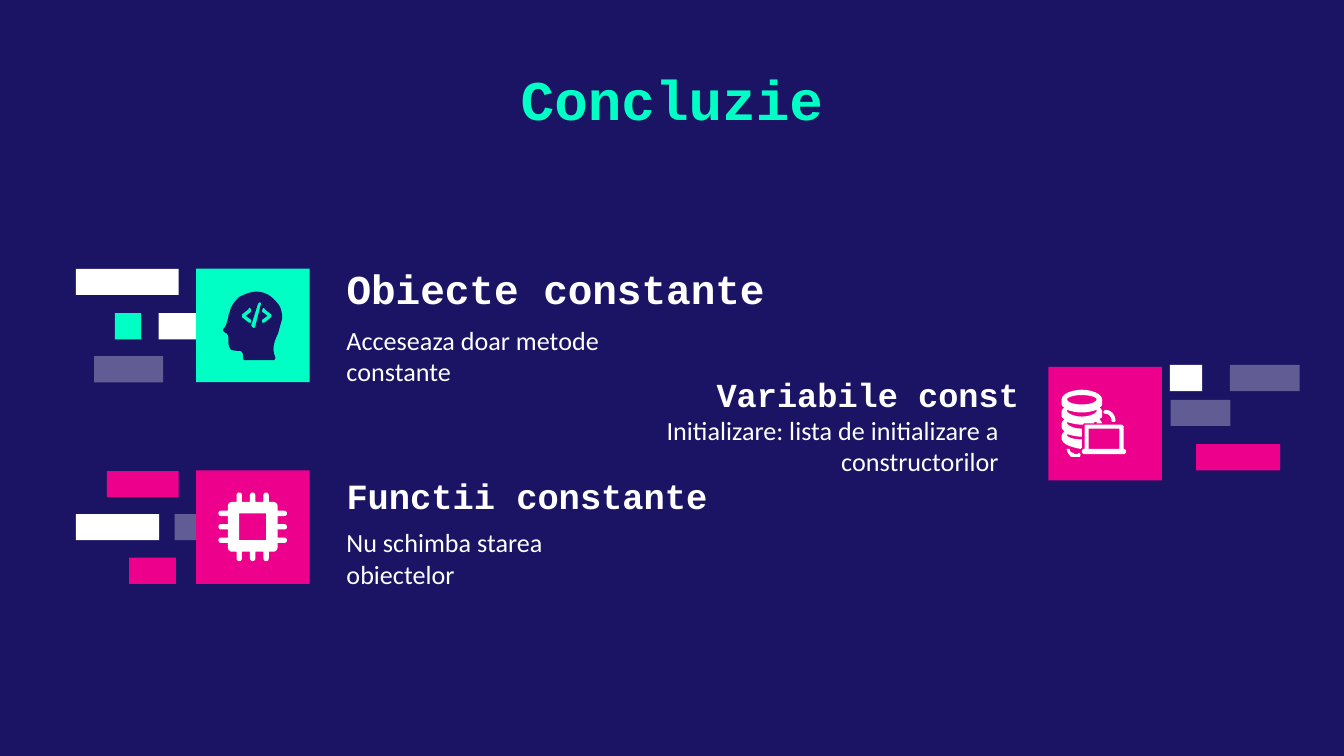
import pptx
import pptx.util
import pptx.dml.color
import pptx.enum.shapes
import pptx.enum.text
import pptx.oxml
import pptx.oxml.ns

COLOURS = {"navy": "1B1464", "mint": "00FFC5", "pink": "EC008C", "white": "FFFFFF"}
CELL = pptx.util.Inches(0.1)
COLUMNS, ROWS = 100, 56.25
TILE, BAR = 8.45, 1.95
ALIGN = pptx.enum.text.PP_ALIGN
ANCHOR = pptx.enum.text.MSO_ANCHOR

PROFILE = """M 191 217 C 186 217 182 219 178 221 C 175 224 172 227 171 232 C 170 234 170 235 170 236
C 169 239 169 241 167 244 C 166 245 166 245 166 246 C 167 247 168 248 168 248 C 169 248 169 248 169 249
C 170 249 170 251 170 253 C 170 255 170 257 171 259 C 172 261 175 261 177 261 C 179 261 180 261 181 264
C 181 264 181 267 181 267 C 181 267 181 268 182 268 L 204 268 C 204 268 205 267 205 266
C 202 260 204 254 207 248 C 208 244 209 241 210 237 C 210 232 209 228 206 225 C 202 220 197 217 191 217"""

CODE_SIGN = """M 186 229 C 186 229 186 229 187 230 C 187 230 187 231 187 232 L 183 235 L 187 238
C 187 238 187 239 187 240 C 186 240 185 240 185 240 L 180 236 C 180 235 180 234 180 234 L 185 230
C 185 229 185 229 186 229
M 196 229 C 196 229 197 229 197 230 L 202 234 C 202 234 202 235 202 236 L 197 240
C 197 240 196 240 195 240 C 195 239 195 238 195 238 L 199 235 L 195 232 C 195 231 195 230 196 229
M 193 225 C 193 225 193 225 194 225 C 194 226 195 226 194 227 L 190 243 C 190 244 189 244 189 244
C 188 244 187 243 187 242 L 192 226 C 192 226 193 225 193 225"""

LOWER_ARC = """M 795 334 C 795 334 795 334 794 334 C 794 334 793 335 794 335 C 794 337 796 339 797 340
C 798 340 800 340 801 340 C 801 340 802 340 803 340 C 804 340 804 339 804 338 C 804 338 803 337 803 337
C 803 337 802 337 802 338 C 800 338 799 338 799 337 C 797 337 796 336 796 334 C 796 334 795 334 795 334"""

UPPER_ARC = """M 823 305 C 822 305 821 306 821 307 C 821 307 822 308 823 308 C 825 308 827 310 827 313
C 827 314 828 314 829 314 C 829 314 830 314 830 313 C 830 309 827 305 823 305"""

DISKS = """M 805 290 C 798 290 790 293 790 297 L 790 301 C 790 302 791 303 792 303
C 791 304 790 305 790 306 L 790 310 C 790 311 791 311 792 312 C 791 313 790 314 790 315 L 790 318
C 790 319 791 320 792 321 C 791 322 790 323 790 324 L 790 327 C 791 331 798 333 804 334
C 805 333 805 333 805 333 L 805 327 C 798 327 794 325 794 324 L 794 323 C 797 324 801 325 805 325
L 805 319 C 798 319 794 316 794 315 L 794 314 C 797 315 801 316 805 316 L 806 316
C 806 315 807 315 808 315 L 814 315 C 814 314 815 314 816 314 L 816 315 L 820 315
C 820 314 819 313 818 312 C 819 311 820 311 820 310 L 820 306 C 820 305 819 304 818 303
C 819 303 820 302 820 301 L 820 297 C 820 293 812 290 805 290"""

DISK_GAPS = """M 805 294 C 812 294 816 296 816 297 C 816 299 812 301 805 301 C 798 301 794 299 794 297
C 794 296 798 294 805 294
M 816 305 L 816 306 C 816 307 812 310 805 310 C 798 310 794 307 794 306
L 794 305 C 797 306 801 307 805 307 C 809 307 813 306 816 305"""

LAPTOP = """M 808 316 C 807 316 807 317 807 317 L 807 334 L 806 334 C 806 334 805 335 805 336
C 805 337 806 338 807 338 L 836 338 C 837 338 838 337 838 336 C 838 335 837 334 836 334 L 836 317
C 836 317 835 316 834 316 L 808 316 M 833 319 L 833 334 L 810 334 L 810 319 L 833 319"""


def rgb(name):
    """Return the named colour."""
    return pptx.dml.color.RGBColor.from_string(COLOURS[name])


def paint(sp, colour, opacity=100):
    """Give a shape a plain fill without line or shadow."""
    sp.shadow.inherit = False
    sp.line.fill.background()
    sp.fill.solid()
    sp.fill.fore_color.rgb = rgb(colour)
    if opacity < 100:
        clr = sp._element.spPr.find(".//" + pptx.oxml.ns.qn("a:srgbClr"))
        ns = pptx.oxml.ns.nsdecls("a")
        clr.append(pptx.oxml.parse_xml(f'<a:alpha {ns} val="{opacity * 1000}"/>'))


def add_block(s, col, row, width, colour, height=BAR, opacity=100):
    """Add a plain rectangle placed on the grid."""
    kind = pptx.enum.shapes.MSO_SHAPE.RECTANGLE
    box = [round(v * CELL) for v in (col, row, width, height)]
    paint(s.shapes.add_shape(kind, *box), colour, opacity)


def add_text(s, text, box, font, size, colour="white", bold=False,
             align=ALIGN.LEFT, anchor=ANCHOR.TOP, top=0, bottom=0):
    """Add a wrapped one-paragraph text box placed on the grid."""
    tf = s.shapes.add_textbox(*[round(v * CELL) for v in box]).text_frame
    tf.word_wrap = True
    tf.vertical_anchor = anchor
    tf.margin_top, tf.margin_bottom = round(top * CELL), round(bottom * CELL)
    p = tf.paragraphs[0]
    p.text, p.alignment = text, align
    r = p.runs[0]
    r.font.name, r.font.size, r.font.bold = font, pptx.util.Pt(size), bold
    r.font.color.rgb = rgb(colour)


def add_heading(s, text, box, size, align=ALIGN.LEFT):
    """Add a bold heading that rests on the bottom of its box."""
    add_text(s, text, box, "Courier New", size, bold=True, align=align, anchor=ANCHOR.BOTTOM)


def add_body(s, text, box, align=ALIGN.LEFT):
    """Add an explanatory text."""
    add_text(s, text, box, "Calibri", 14, align=align, bottom=1)


def curve(a, b, c, d, steps=6):
    """Return points along a cubic curve after its start."""
    points = []
    for t in (i / steps for i in range(1, steps + 1)):
        u = 1 - t
        points.append(tuple(u**3 * a[k] + 3 * u * u * t * b[k] + 3 * u * t * t * c[k] + t**3 * d[k]
                            for k in (0, 1)))
    return points


def outlines(*parts):
    """Turn drawing commands into lists of points, one for each contour."""
    contours = []
    tokens = iter(" ".join(parts).split())
    for command in tokens:
        count = 3 if command == "C" else 1
        points = [(float(next(tokens)), float(next(tokens))) for _ in range(count)]
        if command == "M":
            contours.append(points)
        elif command == "L":
            contours[-1] += points
        else:
            contours[-1] += curve(contours[-1][-1], *points)
    return contours


def add_outline(shapes, contours, colour):
    """Add a filled outline given in tenths of a grid cell."""
    scaled = [[(x * CELL / 10, y * CELL / 10) for x, y in c] for c in contours]
    builder = shapes.build_freeform(*scaled[0][0], scale=1.0)
    builder.add_line_segments(scaled[0][1:], close=True)
    for contour in scaled[1:]:
        builder.move_to(*contour[0])
        builder.add_line_segments(contour[1:], close=True)
    paint(builder.convert_to_shape(), colour)


def four_sides(points, x, y):
    """Repeat one side by quarter turns around a centre."""
    contour = []
    for _ in range(4):
        contour += [(x + a, y + b) for a, b in points]
        points = [(-b, a) for a, b in points]
    return contour


def chip_outlines(x, y):
    """Return a chip body with three round pins a side and a square hole."""
    side = [(-18.5, -15.5)] + curve((-18.5, -15.5), (-18.5, -17), (-17, -18.5), (-15.5, -18.5))
    for pin in (-10, 0, 10):
        left, right = pin - 2, pin + 2
        side += [(left, -18.5), (left, -23.5)]
        side += curve((left, -23.5), (left, -26.2), (right, -26.2), (right, -23.5))
        side.append((right, -18.5))
    return [four_sides(side, x, y), four_sides([(-10, -10)], x, y)]


def main():
    """Build the slide and save it."""
    prs = pptx.Presentation()
    prs.slide_width, prs.slide_height = round(COLUMNS * CELL), round(ROWS * CELL)
    s = prs.slides.add_slide(prs.slide_layouts[6])
    s.background.fill.solid()
    s.background.fill.fore_color.rgb = rgb("navy")

    add_text(s, "Concluzie", (14, 3.8, 72, 7.3), "Courier New", 30, "mint", True,
             ALIGN.CENTER, top=1, bottom=1)

    for col, row, width in ((87.1, 29.75, 4.45), (13, 38.25, 2.4), (7, 26.5, 5.15), (91.5, 27.15, 5.2)):
        add_block(s, col, row, width, "white", opacity=31)
    for col, row, width, colour in (
            (5.65, 20, 7.65, "white"), (8.55, 23.3, 1.95, "mint"), (11.8, 23.3, 3.55, "white"),
            (7.95, 35.05, 5.35, "pink"), (5.65, 38.25, 6.2, "white"), (9.6, 41.5, 3.5, "pink"),
            (87.05, 27.15, 2.4, "white"), (89, 33.05, 6.25, "pink")):
        add_block(s, col, row, width, colour)
    for col, row, colour in ((14.6, 20, "mint"), (78, 27.3, "pink"), (14.6, 35, "pink")):
        add_block(s, col, row, TILE, colour, height=TILE)

    add_heading(s, "Obiecte constante", (24.8, 19.4, 34.8, 3.9), 22)
    add_body(s, "Acceseaza doar metode constante", (24.8, 24.1, 23.7, 4.5))
    add_heading(s, "Variabile const", (51.6, 26.9, 25.2, 3.9), 18, ALIGN.RIGHT)
    add_body(s, "Initializare: lista de initializare a constructorilor", (47.9, 30.8, 27.4, 4.5), ALIGN.RIGHT)
    add_heading(s, "Functii constante", (24.8, 34.5, 30.9, 3.9), 19)
    add_body(s, "Nu schimba starea obiectelor", (24.8, 39.2, 23.7, 4.5))

    add_outline(s.shapes, chip_outlines(188, 392), "white")
    add_outline(s.shapes, outlines(PROFILE, CODE_SIGN), "navy")
    database = s.shapes.add_group_shape()
    for parts in ((LOWER_ARC,), (UPPER_ARC,), (DISKS, DISK_GAPS), (LAPTOP,)):
        add_outline(database.shapes, outlines(*parts), "white")

    prs.save("out.pptx")


if __name__ == "__main__":
    main()
